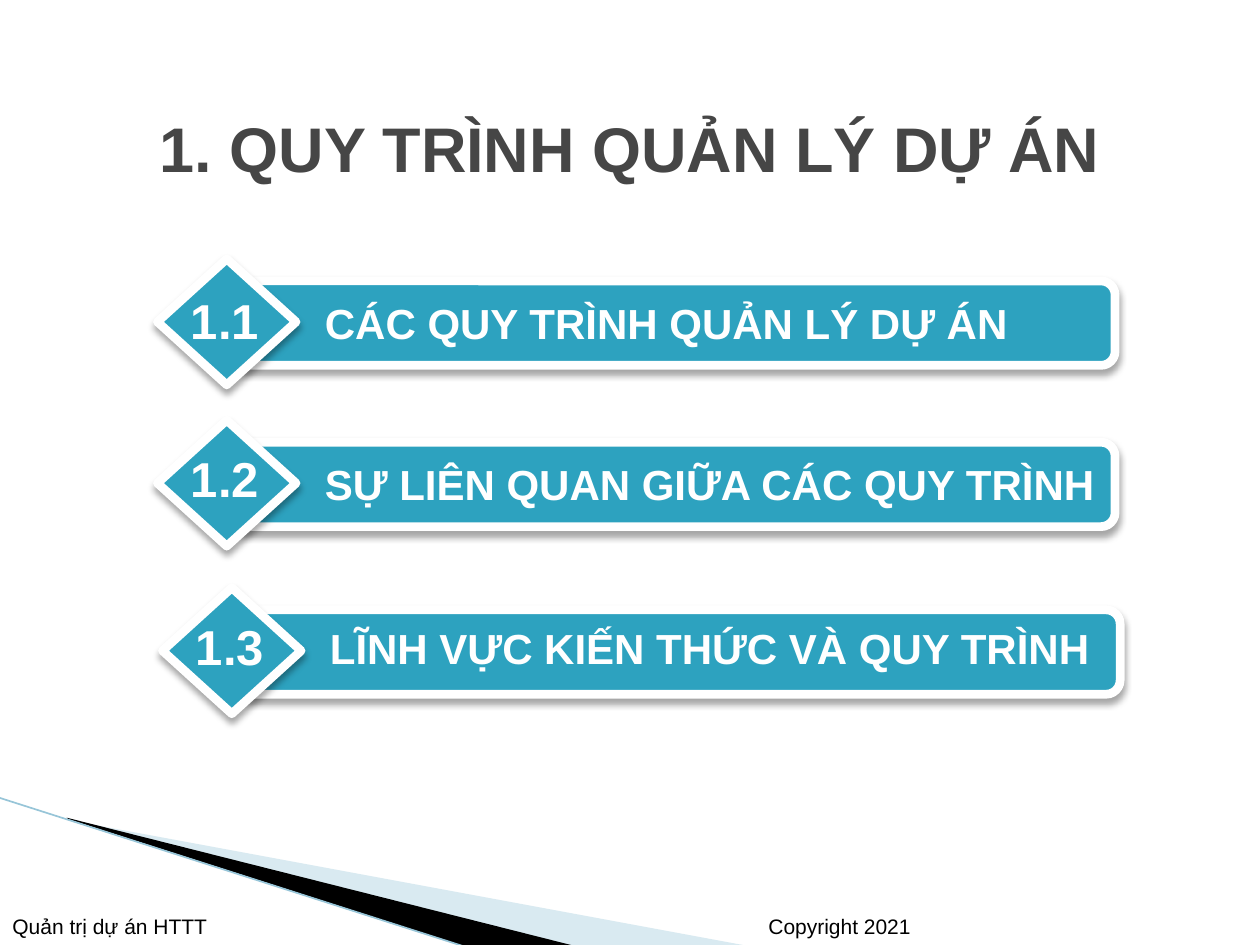
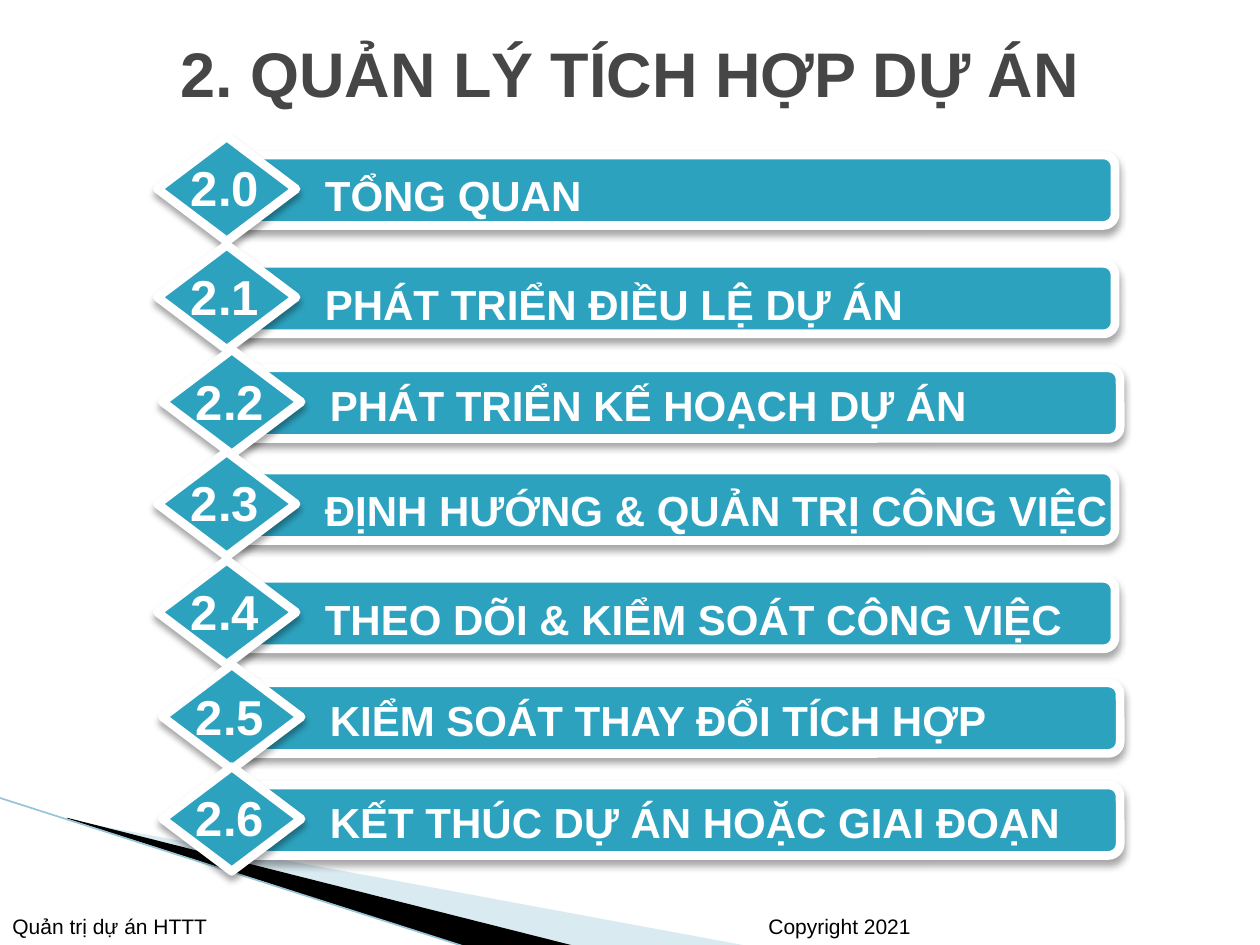
"""Builds two agenda slides with numbered diamond bars."""
from lxml.etree import SubElement
from pptx import Presentation
from pptx.dml.color import RGBColor
from pptx.enum.shapes import MSO_CONNECTOR, MSO_SHAPE
from pptx.enum.text import MSO_ANCHOR, MSO_AUTO_SIZE, PP_ALIGN
from pptx.oxml.ns import qn
from pptx.util import Inches, Pt

HUES = {"teal": "2DA2BF", "white": "FFFFFF", "black": "000000",
        "title": "464646", "pale": "A0CBDC", "edge": "97C5D8"}
FONT = "Arial"
FOOTERS = [("Copyright 2021", 6, 1.75), ("Quản trị dự án HTTT", 0, 2.58)]
WEDGES = [("pale", 40, [(0.55, 6.51), (5.95, 7.51), (4.56, 7.51), (0.55, 6.5)]),
          ("black", 100, [(0.53, 6.49), (4.57, 7.51), (3.72, 7.52), (0.54, 6.5)])]
SHIFT = 0.04

# Row: number, caption, bar top, number top, caption width, shifted right
DECK = [
    {"title": "1. QUY TRÌNH QUẢN LÝ DỰ ÁN", "top": 0.68, "bar": 0.67, "gem": 1, "drop": 0.08,
     "rows": [
         ("1.1", "CÁC QUY TRÌNH QUẢN LÝ DỰ ÁN", 2.23, 2.26, 6.61, False),
         ("1.2", "SỰ LIÊN QUAN GIỮA CÁC QUY TRÌNH", 3.51, 3.51, 7.36, False),
         ("1.3", "LĨNH VỰC KIẾN THỨC VÀ QUY TRÌNH", 4.84, 4.84, 6.74, True)]},
    {"title": "2. QUẢN LÝ TÍCH HỢP DỰ ÁN", "top": 0.08, "bar": 0.56, "gem": 0.83, "drop": 0.07,
     "rows": [
         ("2.0", "TỔNG QUAN", 1.23, 1.2, 6.21, False),
         ("2.1", "PHÁT TRIỂN ĐIỀU LỆ DỰ ÁN", 2.09, 2.07, 7.36, False),
         ("2.2", "PHÁT TRIỂN KẾ HOẠCH DỰ ÁN", 2.92, 2.9, 6.74, True),
         ("2.3", "ĐỊNH HƯỚNG & QUẢN TRỊ CÔNG VIỆC", 3.73, 3.7, 7.11, False),
         ("2.4", "THEO DÕI & KIỂM SOÁT CÔNG VIỆC", 4.59, 4.57, 7.36, False),
         ("2.5", "KIỂM SOÁT THAY ĐỔI TÍCH HỢP", 5.42, 5.4, 6.74, True),
         ("2.6", "KẾT THÚC DỰ ÁN HOẶC GIAI ĐOẠN", 6.23, 6.2, 6.74, True)]},
]


def tint(hue):
    return RGBColor.from_string(HUES[hue])


def write(shapes, text, box, size, hue, bold=True, align=PP_ALIGN.LEFT,
          anchor=MSO_ANCHOR.TOP, wrap=True, grow=False):
    frame = shapes.add_textbox(*map(Inches, box)).text_frame
    frame.text = text
    frame.word_wrap = wrap
    frame.vertical_anchor = anchor
    if grow:
        frame.auto_size = MSO_AUTO_SIZE.SHAPE_TO_FIT_TEXT
    para = frame.paragraphs[0]
    para.alignment = align
    font = para.runs[0].font
    font.name, font.size, font.bold = FONT, Pt(size), bold
    font.color.rgb = tint(hue)


def block(shapes, kind, box):
    shape = shapes.add_shape(kind, *map(Inches, box))
    shape.fill.solid()
    shape.fill.fore_color.rgb = tint("teal")
    shape.line.color.rgb = tint("white")
    shape.line.width = Pt(5)
    shape.shadow.inherit = False
    effects = shape._element.spPr.find(qn("a:effectLst"))
    shade = SubElement(effects, qn("a:outerShdw"), blurRad=str(Pt(4)), dist=str(Pt(3)),
                       dir="5400000", algn="ctr", rotWithShape="0")
    color = SubElement(shade, qn("a:srgbClr"), val=HUES["black"])
    SubElement(color, qn("a:alpha"), val="35000")


def wedge(shapes, hue, alpha, points):
    first, *rest = [(Inches(x), Inches(y)) for x, y in points]
    form = shapes.build_freeform(*first)
    form.add_line_segments(rest, close=True)
    shape = form.convert_to_shape()
    shape.shadow.inherit = False
    shape.line.fill.background()
    shape.fill.solid()
    shape.fill.fore_color.rgb = tint(hue)
    if alpha < 100:
        color = shape._element.spPr.find(qn("a:solidFill"))[0]
        SubElement(color, qn("a:alpha"), val=str(alpha * 1000))


def frame_slide(shapes):
    for item in WEDGES:
        wedge(shapes, *item)
    line = shapes.add_connector(MSO_CONNECTOR.STRAIGHT, Inches(-0.01), Inches(6.33),
                                Inches(3.71), Inches(7.52))
    line.line.color.rgb = tint("edge")
    line.line.width = Pt(0.95)
    SubElement(line._element.spPr, qn("a:effectLst"))
    for text, left, width in FOOTERS:
        write(shapes, text, (left, 7.1, width, 0.4), 12, "black", bold=False,
              anchor=MSO_ANCHOR.BOTTOM)


def add_row(shapes, page, row):
    number, text, top, mark, width, moved = row
    dx = SHIFT if moved else 0
    drop = page["drop"] - (0.03 if moved else 0)
    high, gem = page["bar"], page["gem"]
    group = shapes.add_group_shape().shapes
    block(group, MSO_SHAPE.ROUNDED_RECTANGLE, (1.86 + dx, top, 6.99, high))
    block(group, MSO_SHAPE.DIAMOND, (1.25 + dx, top + (high - gem) / 2 - 0.01, 1.1, gem))
    write(group, text, (2.48 + dx, top + drop, width, 0.5), 24, "white", grow=True)
    write(group, number, (1.41 + dx, mark, 0.75, 0.57), 28, "white",
          align=PP_ALIGN.CENTER, wrap=False, grow=True)


def main():
    deck = Presentation()
    deck.slide_width, deck.slide_height = Inches(10), Inches(7.5)
    for page in DECK:
        shapes = deck.slides.add_slide(deck.slide_layouts[6]).shapes
        frame_slide(shapes)
        write(shapes, page["title"], (0.75, page["top"], 8.5, 0.98), 36, "title",
              align=PP_ALIGN.CENTER, anchor=MSO_ANCHOR.MIDDLE)
        for row in page["rows"]:
            add_row(shapes, page, row)
    deck.save("out.pptx")


if __name__ == "__main__":
    main()
